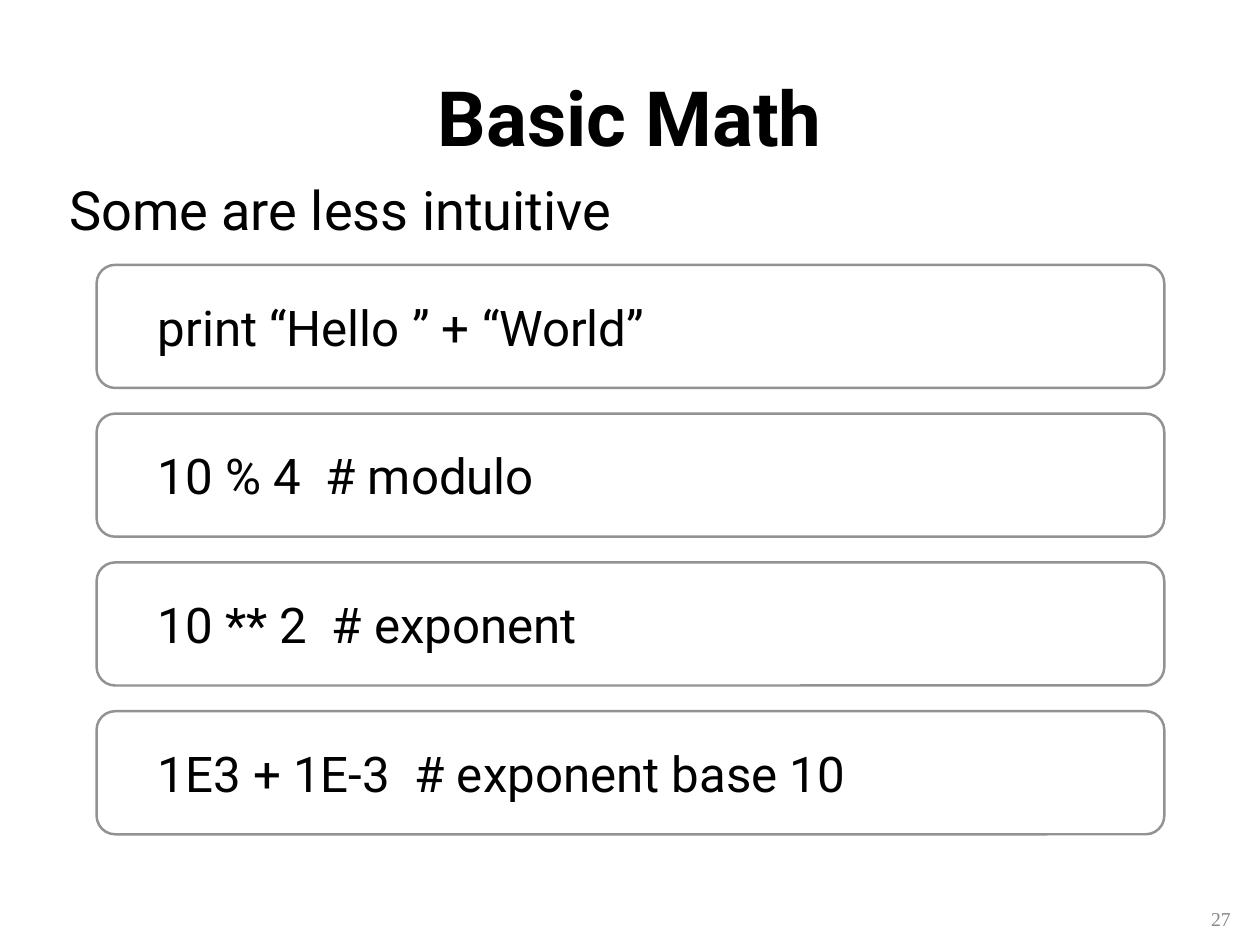
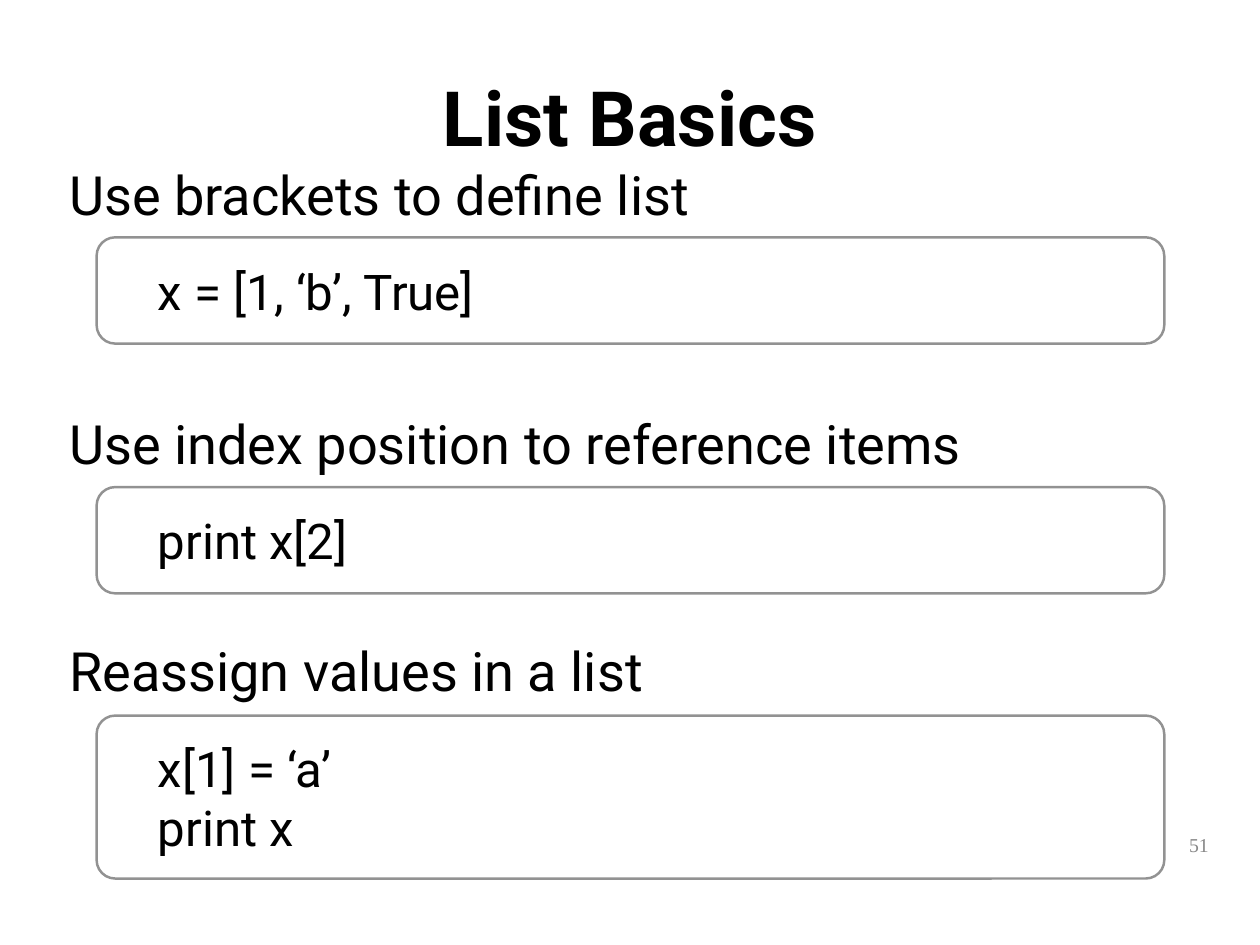
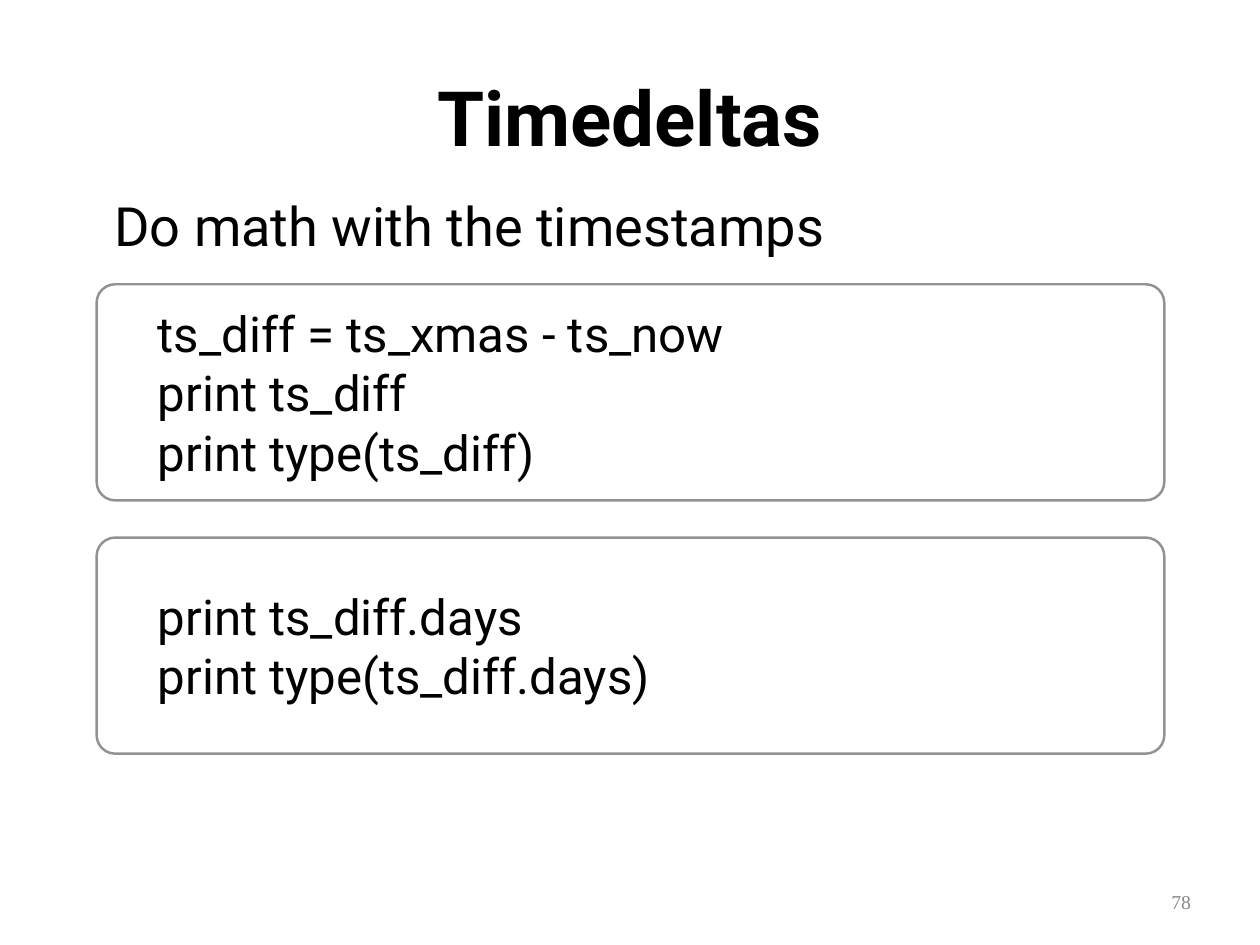
from dataclasses import dataclass

from pptx import Presentation
from pptx.dml.color import RGBColor
from pptx.enum.shapes import MSO_SHAPE as Shape
from pptx.enum.text import MSO_ANCHOR as Anchor, PP_ALIGN as Align
from pptx.util import Inches, Pt


@dataclass(frozen=True)
class Theme:
    ink: RGBColor = RGBColor(0x00, 0x00, 0x00)
    outline: RGBColor = RGBColor(0x92, 0x92, 0x92)
    muted: RGBColor = RGBColor(0x88, 0x88, 0x88)
    font: str = "Roboto"
    number_font: str = "Times New Roman"
    title_size: int = 62
    lead_size: int = 44
    code_size: int = 40
    number_size: int = 16
    inset: float = 0.07
    code_inset: float = 0.63
    radius: float = 0.21


theme = Theme()
CODE_LEFT, CODE_WIDTH = 1.09, 12.05
CODE_PITCH = 1.68


def write(shape, lines, size, font=theme.font, color=theme.ink, bold=False,
          align=Align.LEFT, anchor=Anchor.MIDDLE, left_inset=theme.inset):
    """Fill a shape with one paragraph per line, all in one style."""
    frame = shape.text_frame
    frame.word_wrap = True
    frame.vertical_anchor = anchor
    frame.margin_left = Inches(left_inset)
    frame.margin_top = frame.margin_right = frame.margin_bottom = Inches(theme.inset)
    for i, line in enumerate(lines):
        paragraph = frame.add_paragraph() if i else frame.paragraphs[0]
        paragraph.alignment = align
        run = paragraph.add_run()
        run.text = line
        run.font.name = font
        run.font.size = Pt(size)
        run.font.bold = bold
        run.font.color.rgb = color


# Content: leads are (left, top, width, text), codes are (top, height, lines)
slides = [
    dict(
        title="Basic Math",
        number=("27", 10.64, 10.17),
        leads=[(0.71, 1.92, 12.8, "Some are less intuitive")],
        codes=[
            (2.99 + row * CODE_PITCH, 1.39, [line])
            for row, line in enumerate([
                "print “Hello ” + “World”",
                "10 % 4  # modulo",
                "10 ** 2  # exponent",
                "1E3 + 1E-3  # exponent base 10",
            ])
        ],
    ),
    dict(
        title="List Basics",
        number=("51", 10.39, 9.33),
        leads=[
            (0.71, 1.75, 12.8, "Use brackets to define list"),
            (0.71, 4.56, 12.8, "Use index position to reference items"),
            (0.71, 7.13, 12.8, "Reassign values in a list"),
        ],
        codes=[
            (2.68, 1.2, ["x = [1, ‘b’, True]"]),
            (5.5, 1.2, ["print x[2]"]),
            (8.08, 1.84, ["x[1] = ‘a’", "print x"]),
        ],
    ),
    dict(
        title="Timedeltas",
        number=("78", 10.19, 9.97),
        leads=[(1.22, 2.1, 11.77, "Do math with the timestamps")],
        codes=[
            (3.21, 2.44, ["ts_diff = ts_xmas - ts_now", "print ts_diff",
                          "print type(ts_diff)"]),
            (6.07, 2.44, ["print ts_diff.days", "print type(ts_diff.days)"]),
        ],
    ),
]

deck = Presentation()
deck.slide_width, deck.slide_height = Inches(14.22), Inches(10.67)
title_only = deck.slide_layouts[5]

for content in slides:
    slide = deck.slides.add_slide(title_only)

    # Title
    title = slide.shapes.title
    title.left, title.top = Inches(0.71), Inches(0.14)
    title.width, title.height = Inches(12.8), Inches(2.35)
    write(title, [content["title"]], theme.title_size, bold=True, align=Align.CENTER)

    # Lead lines
    for left, top, width, text in content["leads"]:
        lead = slide.shapes.add_textbox(
            Inches(left), Inches(top), Inches(width), Inches(0.93))
        write(lead, [text], theme.lead_size, anchor=Anchor.TOP)

    # Code boxes, with the same corner radius at every height
    for top, height, lines in content["codes"]:
        code = slide.shapes.add_shape(
            Shape.ROUNDED_RECTANGLE, Inches(CODE_LEFT), Inches(top),
            Inches(CODE_WIDTH), Inches(height))
        code.adjustments[0] = theme.radius / height
        code.shadow.inherit = False
        code.fill.background()
        code.line.color.rgb = theme.outline
        code.line.width = Pt(2)
        write(code, lines, theme.code_size, left_inset=theme.code_inset)

    # Page number
    label, left, top = content["number"]
    number = slide.shapes.add_textbox(
        Inches(left), Inches(top), Inches(3.32), Inches(0.41))
    write(number, [label], theme.number_size, font=theme.number_font,
          color=theme.muted, align=Align.RIGHT)

deck.save("out.pptx")
